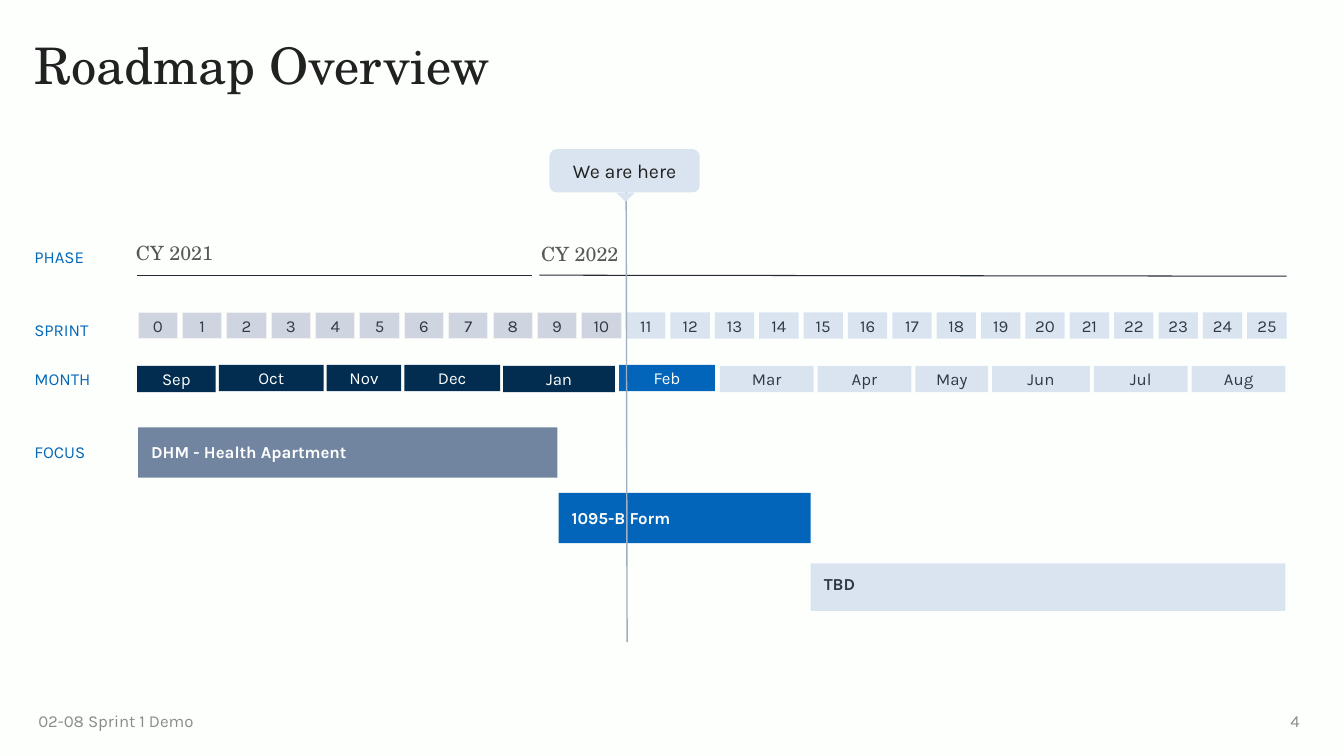
from dataclasses import dataclass

from lxml.etree import SubElement
from pptx import Presentation
from pptx.dml.color import RGBColor
from pptx.enum.shapes import MSO_CONNECTOR as Connector, MSO_SHAPE as Preset
from pptx.enum.text import MSO_ANCHOR as Anchor, MSO_AUTO_SIZE as AutoSize, PP_ALIGN as Align
from pptx.oxml.ns import qn
from pptx.util import Emu, Pt

EMU_PER_PX = 9144  # 100 px to the inch
SANS, SERIF = "Karla", "TeX Gyre Schola"
WHITE, INK, SLATE = "FDFFFD", "202120", "303A46"
NAVY, BLUE, PALE, GREY_BLUE = "022D50", "0365B9", "DAE4F0", "CED5E0"
FOOTER_GREY = "8A8A8A"


@dataclass
class Box:
    left: int
    top: int
    width: int
    height: int


@dataclass
class Style:
    color: str
    size: int = 12
    font: str = SANS
    bold: bool = False
    align: Align = Align.LEFT
    anchor: Anchor = Anchor.TOP
    spacing: float = 1.0
    insets: tuple[int, int, int, int] = (0, 0, 0, 0)
    grow: bool = True


@dataclass
class Month:
    name: str
    left: int
    width: int
    top: int = 363
    fill: str = PALE
    color: str = SLATE


@dataclass
class Focus:
    name: str
    box: Box
    fill: str
    color: str
    spacing: float = 1.15


@dataclass
class Rule:
    start: tuple[int, int]
    end: tuple[int, int]
    color: str
    weight: float


PHASE_RULES = [
    Rule((136, 273), (528, 273), "232B34", 0.75),
    Rule((535, 273), (1276, 274), "232B34", 0.75),
]
TODAY_RULE = Rule((621, 170), (622, 637), "A1AEBF", 1)
PHASES = [("CY 2021", 125, 234), ("CY 2022", 527, 235)]
ROW_LABELS = [("PHASE", 245), ("SPRINT", 317), ("MONTH", 366), ("FOCUS", 438)]
SPRINT_COUNT, FIRST_OPEN_SPRINT = 26, 11
SPRINT_LEFT, SPRINT_PITCH = 137, 44
MONTHS = [
    Month("Sep", 136, 78, 363, NAVY, WHITE),
    Month("Oct", 217, 104, 362, NAVY, WHITE),
    Month("Nov", 324, 74, 362, NAVY, WHITE),
    Month("Dec", 401, 95, 362, NAVY, WHITE),
    Month("Jan", 499, 111, 363, NAVY, WHITE),
    Month("Feb", 614, 95, 362, BLUE, WHITE),
    Month("Mar", 714, 93),
    Month("Apr", 811, 93),
    Month("May", 908, 72),
    Month("Jun", 984, 97),
    Month("Jul", 1085, 93),
    Month("Aug", 1182, 93),
]
FOCUSES = [
    Focus("DHM - Health Apartment", Box(137, 424, 416, 50), "7185A0", "FFFFFF"),
    Focus("1095-B Form", Box(554, 489, 250, 50), BLUE, WHITE),
    Focus("TBD", Box(804, 559, 471, 47), PALE, SLATE, 1.0),
]


def px(length: int) -> Emu:
    return Emu(length * EMU_PER_PX)


def rgb(color: str) -> RGBColor:
    return RGBColor.from_string(color)


def place(box: Box) -> list[Emu]:
    return [px(length) for length in (box.left, box.top, box.width, box.height)]


def set_all(target, values: dict) -> None:
    for name, value in values.items():
        setattr(target, name, value)


def write(shape, text: str, style: Style) -> None:
    frame = shape.text_frame
    left, top, right, bottom = map(px, style.insets)
    set_all(frame, {
        "text": text,
        "word_wrap": True,
        "auto_size": AutoSize.SHAPE_TO_FIT_TEXT if style.grow else AutoSize.NONE,
        "vertical_anchor": style.anchor,
        "margin_left": left,
        "margin_top": top,
        "margin_right": right,
        "margin_bottom": bottom,
    })
    paragraph = frame.paragraphs[0]
    set_all(paragraph, {"alignment": style.align, "line_spacing": style.spacing})
    font = paragraph.runs[0].font
    set_all(font, {"name": style.font, "size": Pt(style.size), "bold": style.bold})
    font.color.rgb = rgb(style.color)


def add_label(slide, box: Box, text: str, style: Style) -> None:
    write(slide.shapes.add_textbox(*place(box)), text, style)


def add_block(slide, box: Box, fill: str, preset: Preset = Preset.RECTANGLE, border: str = ""):
    block = slide.shapes.add_shape(preset, *place(box))
    block.shadow.inherit = False
    block.fill.solid()
    block.fill.fore_color.rgb = rgb(fill)
    if border:
        block.line.color.rgb = rgb(border)
        block.line.width = Pt(0.75)
    else:
        block.line.fill.background()
    return block


def add_rule(slide, rule: Rule) -> None:
    ends = map(px, (*rule.start, *rule.end))
    line = slide.shapes.add_connector(Connector.STRAIGHT, *ends)
    line.line.color.rgb = rgb(rule.color)
    line.line.width = Pt(rule.weight)
    SubElement(line._element.spPr, qn("a:effectLst"))


def cell_style(color: str) -> Style:
    return Style(color, align=Align.CENTER, insets=(3, 3, 3, 3))


def main() -> None:
    deck = Presentation()
    deck.slide_width, deck.slide_height = px(1333), px(750)
    slide = deck.slides.add_slide(deck.slide_layouts[5])
    slide.background.fill.solid()
    slide.background.fill.fore_color.rgb = rgb(WHITE)

    # Title
    title = slide.shapes.title
    title.left, title.top, title.width, title.height = place(Box(34, 41, 1242, 55))
    write(title, "Roadmap Overview", Style(INK, 36, SERIF, spacing=0.9, grow=False))

    # Row labels and phases
    for name, top in ROW_LABELS:
        add_label(slide, Box(34, top, 78, 20), name, Style("0467B8"))
    for rule in PHASE_RULES:
        add_rule(slide, rule)
    for name, left, top in PHASES:
        add_label(slide, Box(left, top, 300, 34), name,
                  Style("565956", 14, SERIF, insets=(10, 5, 10, 5)))

    # Sprints
    for number in range(SPRINT_COUNT):
        is_done = number < FIRST_OPEN_SPRINT
        sprint = add_block(slide, Box(SPRINT_LEFT + number * SPRINT_PITCH, 310, 39, 26),
                           GREY_BLUE if is_done else PALE,
                           border="F0F1F0" if is_done else "")
        write(sprint, str(number), cell_style(SLATE))

    # Months
    for month in MONTHS:
        cell = add_block(slide, Box(month.left, month.top, month.width, 26), month.fill)
        write(cell, month.name, cell_style(month.color))

    # Focus bars
    for focus in FOCUSES:
        bar = add_block(slide, focus.box, focus.fill)
        write(bar, focus.name, Style(focus.color, bold=True, spacing=focus.spacing,
                                     insets=(13, 13, 13, 13)))

    # Footer
    add_label(slide, Box(33, 695, 180, 40), "02-08 Sprint 1 Demo",
              Style(FOOTER_GREY, anchor=Anchor.MIDDLE, insets=(5, 5, 10, 5), grow=False))
    add_label(slide, Box(1255, 695, 44, 40), "4",
              Style(FOOTER_GREY, align=Align.RIGHT, anchor=Anchor.MIDDLE,
                    insets=(10, 5, 10, 5), grow=False))

    # Marker for today
    add_rule(slide, TODAY_RULE)
    callout = add_block(slide, Box(545, 148, 149, 43), PALE, Preset.ROUNDED_RECTANGLE)
    callout.adjustments[0] = 0.17
    write(callout, "We are here", Style(INK, 14, align=Align.CENTER, anchor=Anchor.MIDDLE,
                                        insets=(10, 5, 10, 5), grow=False))
    pointer = add_block(slide, Box(611, 191, 19, 9), PALE, Preset.ISOSCELES_TRIANGLE)
    pointer.rotation = 180

    deck.save("out.pptx")


if __name__ == "__main__":
    main()
